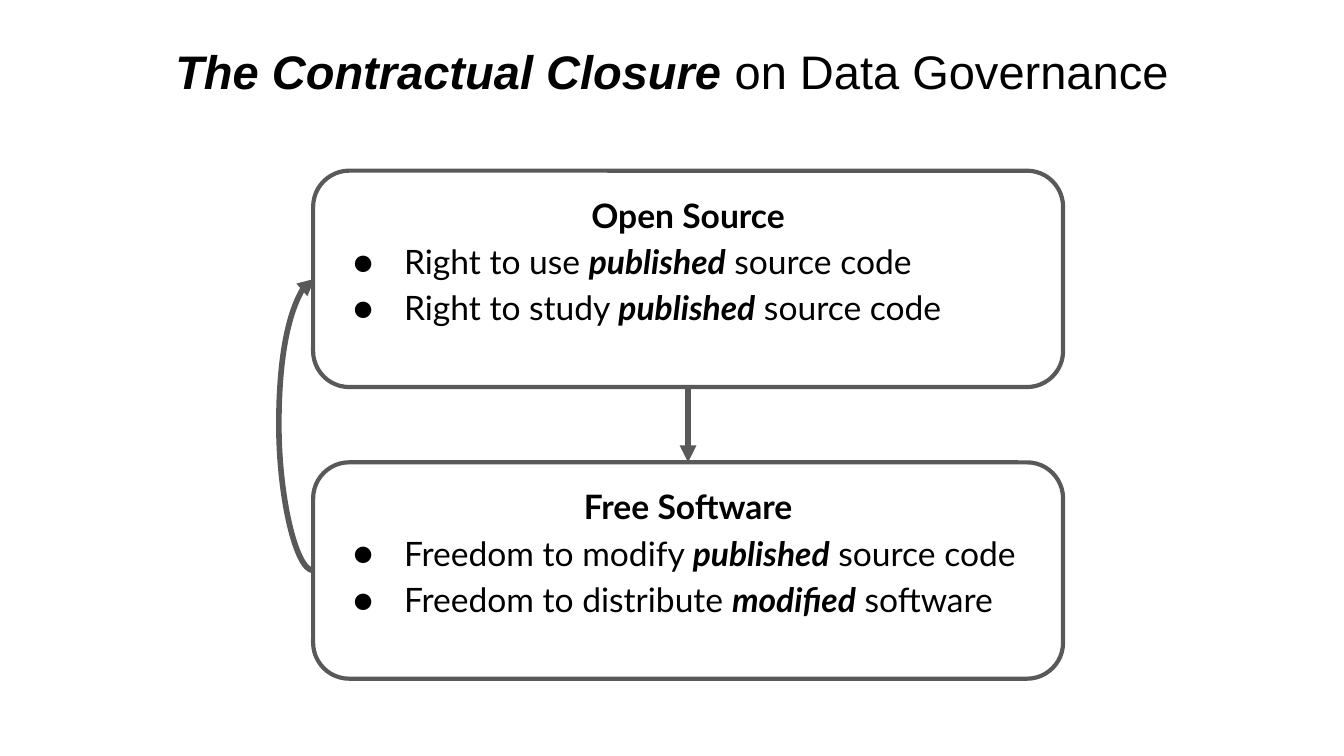
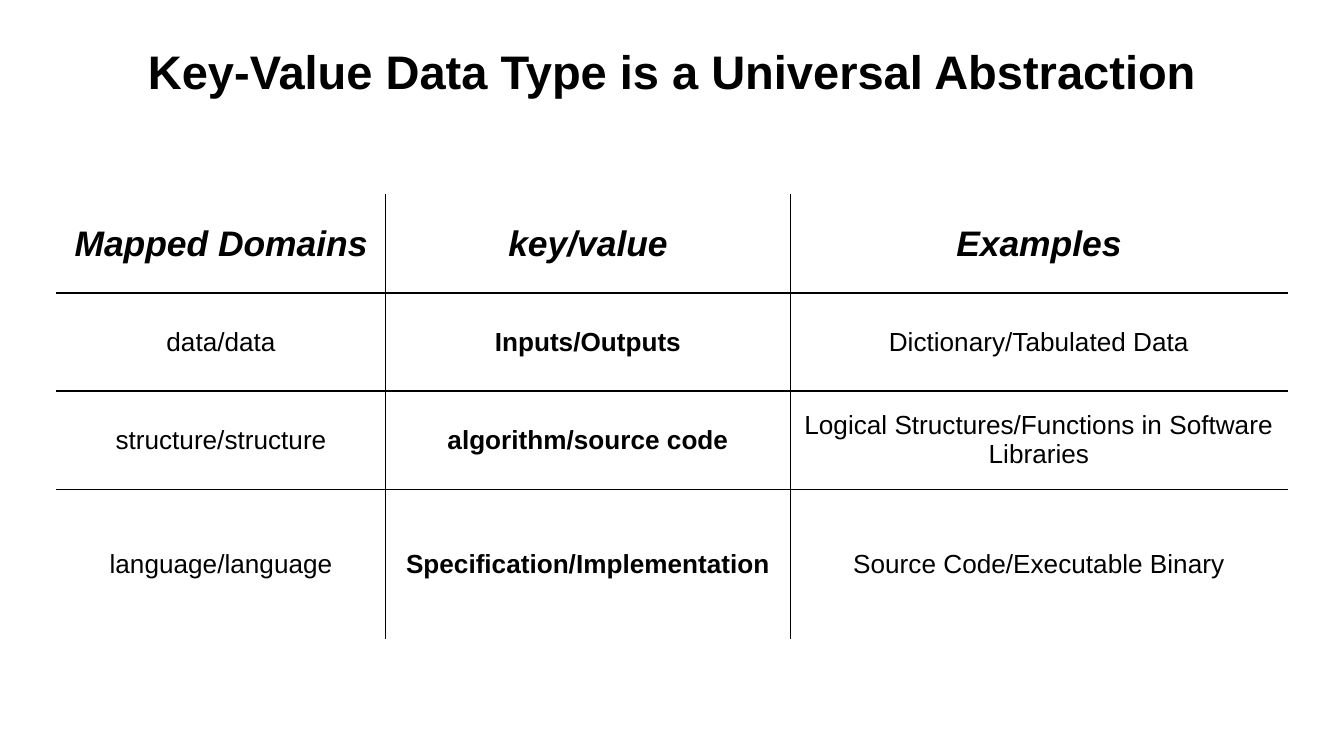
import pptx
import pptx.util
import pptx.dml.color
import pptx.enum.shapes
import pptx.enum.text
import pptx.oxml
import pptx.oxml.ns
from dataclasses import dataclass

Inches = pptx.util.Inches
Pt = pptx.util.Pt
qn = pptx.oxml.ns.qn
CENTER = pptx.enum.text.PP_ALIGN.CENTER
MIDDLE = pptx.enum.text.MSO_ANCHOR.MIDDLE
KIND = pptx.enum.shapes.MSO_CONNECTOR


@dataclass(frozen=True)
class Theme:
    ink: str = "000000"
    paper: str = "FFFFFF"
    line: str = "595959"
    font: str = "Arial"
    card_font: str = "Lato"
    title: float = 25.2
    card: float = 18
    head: float = 19
    cell: float = 14
    frame: float = 2.25
    arrow: float = 3
    rule: float = 0.75
    inset: float = 0.1


THEME = Theme()


def rgb(code):
    return pptx.dml.color.RGBColor.from_string(code)


def add_xml(parent, tag, inner="", **attrs):
    """Append one drawing element built from its tag and attributes."""
    pairs = "".join(f' {key}="{val}"' for key, val in attrs.items())
    space = pptx.oxml.ns.nsdecls("a")
    node = pptx.oxml.parse_xml(f"<a:{tag} {space}{pairs}>{inner}</a:{tag}>")
    parent.append(node)


def color_xml(code):
    return f'<a:srgbClr val="{code}"/>'


def style(font, name, size, bold=False, italic=False):
    font.name, font.size = name, Pt(size)
    font.bold, font.italic = bold, italic
    font.color.rgb = rgb(THEME.ink)


def write(para, text, name, size, bold=False, italic=False):
    """Fill a paragraph; parts between asterisks are bold italic."""
    for num, part in enumerate(text.split("*")):
        if part:
            run = para.add_run()
            run.text = part
            mark = num % 2 == 1
            style(run.font, name, size, bold or mark, italic or mark)


def pad(box):
    box.margin_left = box.margin_right = Inches(THEME.inset)
    box.margin_top = box.margin_bottom = Inches(THEME.inset)


def add_title(slide, text, bold=False):
    title = slide.shapes.title
    title.left, title.top = Inches(0.34), Inches(0.21)
    title.width, title.height = Inches(9.32), Inches(0.63)
    frame = title.text_frame
    pad(frame)
    frame.word_wrap = True
    frame.auto_size = pptx.enum.text.MSO_AUTO_SIZE.NONE
    frame.vertical_anchor = MIDDLE
    para = frame.paragraphs[0]
    para.alignment = CENTER
    write(para, text, THEME.font, THEME.title, bold)


def add_bullet(para):
    props = para._p.get_or_add_pPr()
    props.set("marL", str(Inches(0.5)))
    props.set("indent", str(Inches(-0.38)))
    add_xml(props, "buClr", color_xml(THEME.ink))
    add_xml(props, "buSzPts", val=THEME.card * 100)
    add_xml(props, "buFont", typeface=THEME.card_font)
    add_xml(props, "buChar", char="●")


def add_card(slide, box, head, items):
    shape = slide.shapes.add_shape(
        pptx.enum.shapes.MSO_SHAPE.ROUNDED_RECTANGLE, *map(Inches, box))
    shape.shadow.inherit = False
    shape.fill.solid()
    shape.fill.fore_color.rgb = rgb(THEME.paper)
    shape.line.color.rgb = rgb(THEME.line)
    shape.line.width = Pt(THEME.frame)
    frame = shape.text_frame
    pad(frame)
    frame.word_wrap = True
    frame.vertical_anchor = pptx.enum.text.MSO_ANCHOR.TOP
    para = frame.paragraphs[0]
    para.alignment = CENTER
    write(para, head, THEME.card_font, THEME.card, bold=True)
    for item in items:
        para = frame.add_paragraph()
        para.alignment = pptx.enum.text.PP_ALIGN.LEFT
        para.line_spacing = 1.15
        add_bullet(para)
        write(para, item, THEME.card_font, THEME.card)
    return shape


def add_arrow(slide, kind, start, end):
    """Join two (shape, side) pairs with an arrow."""
    arrow = slide.shapes.add_connector(kind, 0, 0, 0, 0)
    arrow.begin_connect(*start)
    arrow.end_connect(*end)
    arrow.line.color.rgb = rgb(THEME.line)
    arrow.line.width = Pt(THEME.arrow)
    add_xml(arrow.line._get_or_add_ln(), "tailEnd", type="triangle")
    add_xml(arrow._element.spPr, "effectLst")
    return arrow


def bow(arrow, reach):
    """Make an upward curved arrow swing out to the left by reach inches."""
    thin = 0.01
    arrow.width = Inches(thin)
    props = arrow._element.spPr
    frame = props.find(qn("a:xfrm"))
    frame.attrib.pop("flipV", None)
    frame.set("rot", str(180 * 60000))
    frame.set("flipH", "1")
    geom = props.find(qn("a:prstGeom"))
    for old in list(geom):
        geom.remove(old)
    share = round(-reach / thin * 100000)
    add_xml(geom, "avLst", f'<a:gd name="adj1" fmla="val {share}"/>')


def add_cycle(slide, box, cards, gap):
    """Stack two cards in the box, with an arrow down and one back up."""
    left, top, width, height = box
    tall = (height - gap) / 2
    upper, lower = [
        add_card(slide, (left, top + num * (tall + gap), width, tall), *card)
        for num, card in enumerate(cards)]
    bow(add_arrow(slide, KIND.CURVE, (lower, 1), (upper, 1)), 0.26)
    add_arrow(slide, KIND.STRAIGHT, (upper, 2), (lower, 0))


def add_rules(cell, row, col, rows, cols):
    """Draw inner borders in ink and outer ones in paper."""
    props = cell._tc.get_or_add_tcPr()
    outer = {"lnL": col == 0, "lnR": col == cols - 1,
             "lnT": row == 0, "lnB": row == rows - 1}
    for tag, edge in outer.items():
        code = THEME.paper if edge else THEME.ink
        add_xml(props, tag, f"<a:solidFill>{color_xml(code)}</a:solidFill>",
                w=Pt(THEME.rule))


def add_grid(slide, box, widths, heights, data):
    rows, cols = len(heights), len(widths)
    table = slide.shapes.add_table(rows, cols, *map(Inches, box)).table
    table.first_row = table.horz_banding = False
    for col, width in zip(table.columns, widths):
        col.width = Inches(width)
    for row, height in zip(table.rows, heights):
        row.height = Inches(height)
    for row, line in enumerate(data):
        for col, text in enumerate(line):
            cell = table.cell(row, col)
            pad(cell)
            cell.vertical_anchor = MIDDLE
            add_rules(cell, row, col, rows, cols)
            cell.fill.background()
            para = cell.text_frame.paragraphs[0]
            para.alignment = CENTER
            head = row == 0
            write(para, text, THEME.font, THEME.head if head else THEME.cell,
                  bold=head or col == 1, italic=head)


def closure_slide(slide):
    add_title(slide, "*The Contractual Closure* on Data Governance")
    cards = [
        ("Open Source", ["Right to use *published* source code",
                         "Right to study *published* source code"]),
        ("Free Software", ["Freedom to modify *published* source code",
                           "Freedom to distribute *modified* software"]),
    ]
    add_cycle(slide, (2.33, 1.27, 5.58, 3.78), cards, gap=0.56)


def types_slide(slide):
    data = [
        ("Mapped Domains", "key/value", "Examples"),
        ("data/data", "Inputs/Outputs", "Dictionary/Tabulated Data"),
        ("structure/structure", "algorithm/source code",
         "Logical Structures/Functions in Software Libraries"),
        ("language/language", "Specification/Implementation",
         "Source Code/Executable Binary"),
    ]
    add_grid(slide, (0.42, 1.45, 9.16, 3.31), (2.45, 3.01, 3.7),
             (0.73, 0.73, 0.73, 1.12), data)
    add_title(slide, "Key-Value Data Type is a Universal Abstraction", bold=True)


def main():
    deck = pptx.Presentation()
    deck.slide_width = Inches(10)
    deck.slide_height = deck.slide_width * 9 // 16
    for build in (closure_slide, types_slide):
        build(deck.slides.add_slide(deck.slide_layouts[5]))
    deck.save("out.pptx")


if __name__ == "__main__":
    main()
